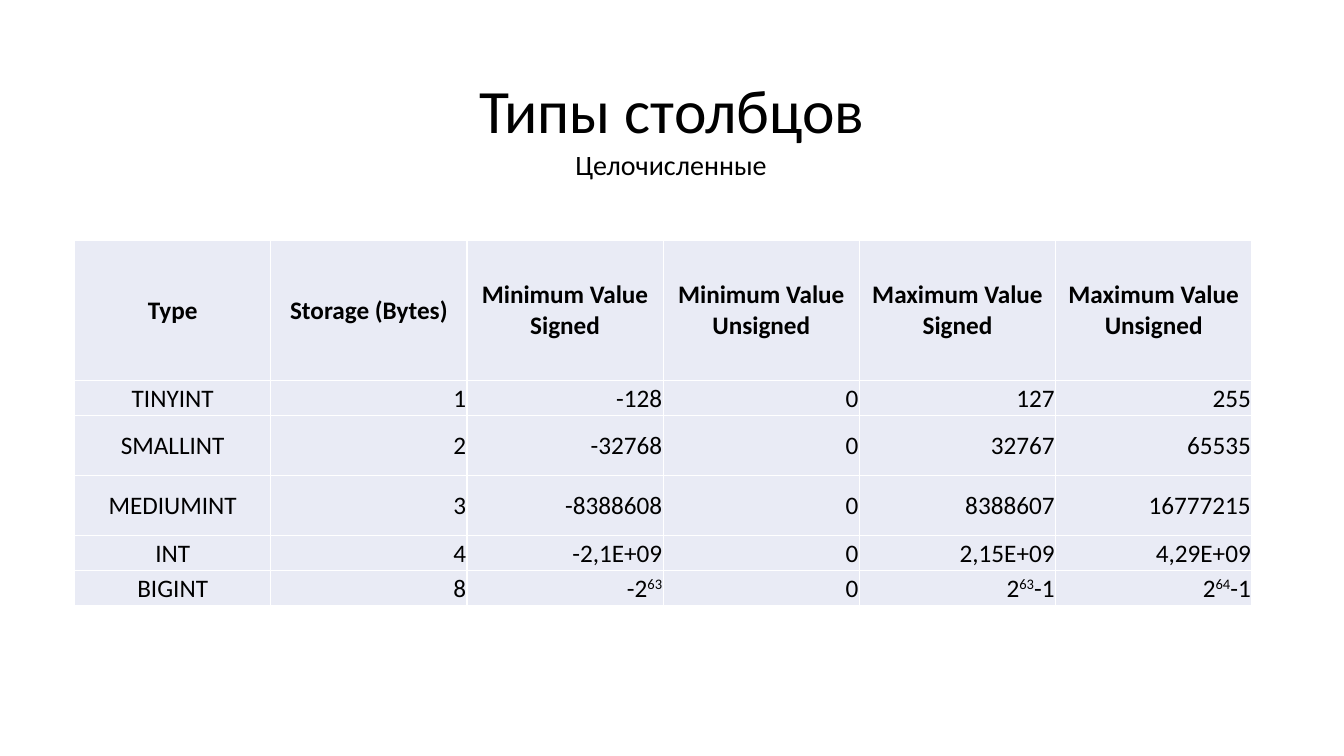
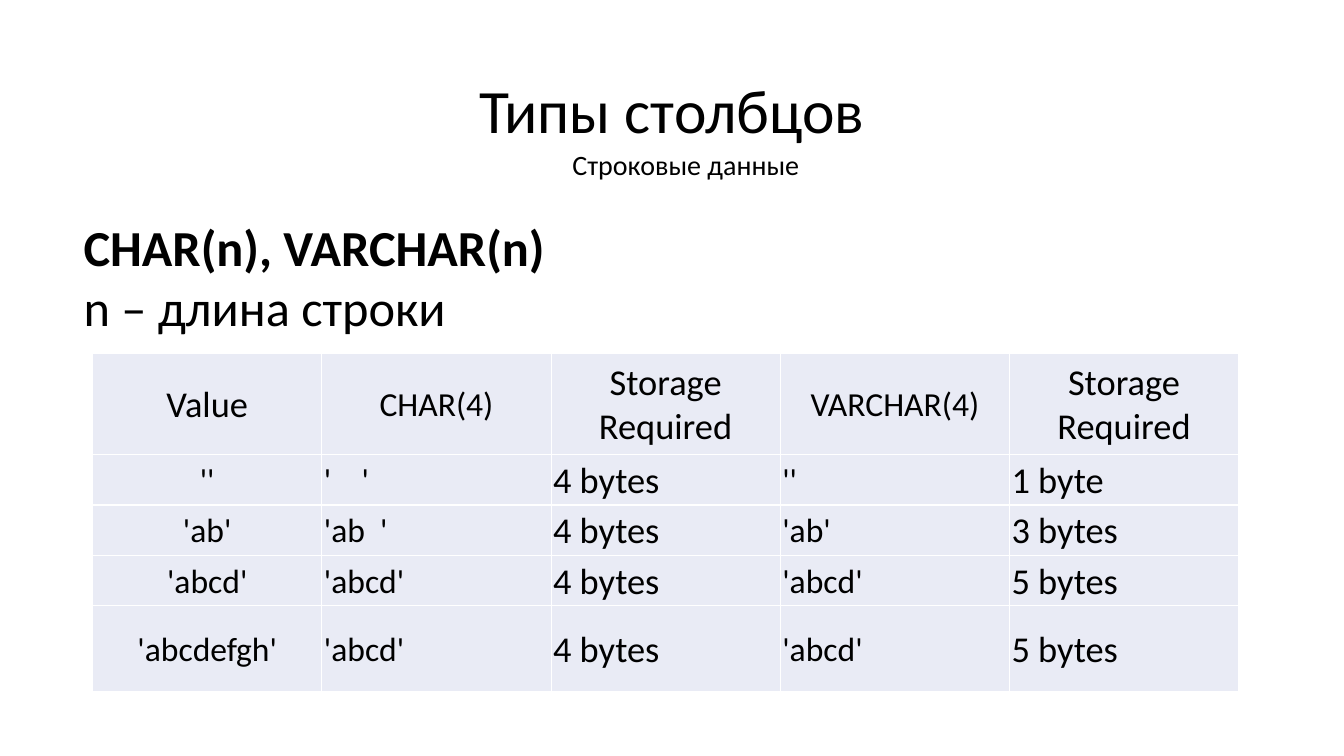
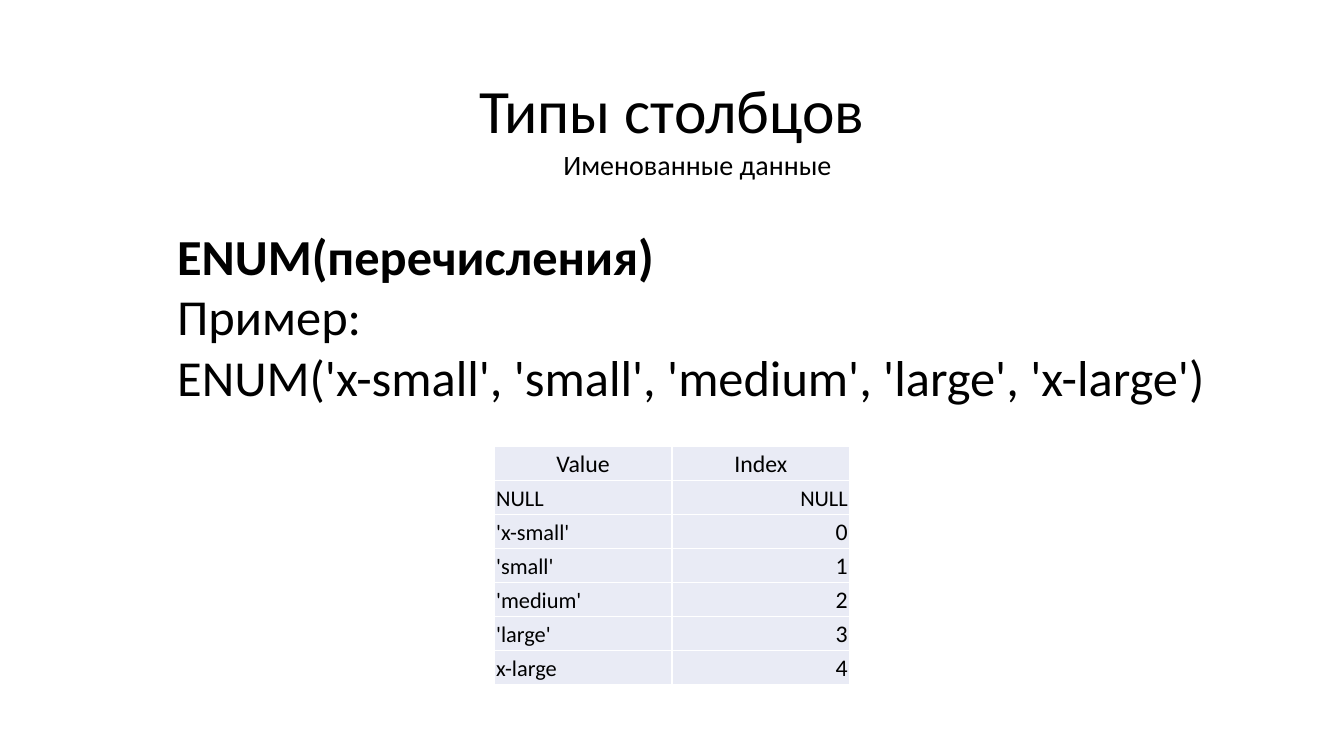
from lxml.etree import SubElement
from pptx import Presentation
from pptx.dml.color import RGBColor
from pptx.enum.text import MSO_ANCHOR as Anchor, MSO_AUTO_SIZE as AutoSize, PP_ALIGN as Align
from pptx.oxml.ns import qn
from pptx.util import Pt

COLORS = {"text": "000000", "cell": "E9EBF5", "border": "FFFFFF"}
FONT = "Calibri"
LEFT, CENTER, RIGHT = Align.LEFT, Align.CENTER, Align.RIGHT


def assign(target, values):
    for name, value in values.items():
        setattr(target, name, value)


class Deck:
    def __init__(self, width, height):
        self.presentation = Presentation()
        assign(self.presentation, {"slide_width": Pt(width), "slide_height": Pt(height)})
        self.slide = None

    def add_slide(self, subtitle, subtitle_left, subtitle_width):
        layout = self.presentation.slide_layouts[6]
        self.slide = self.presentation.slides.add_slide(layout)
        title = self.text((66, 28.8, 828, 104.4), ["Типы столбцов"], 44,
                          word_wrap=True, vertical_anchor=Anchor.MIDDLE)
        assign(title.paragraphs[0], {"alignment": CENTER, "line_spacing": 0.9})
        self.label((subtitle_left, 101.5, subtitle_width, 31.5), [subtitle], 20)

    def add_runs(self, paragraph, text, size, bold=False):
        for index, part in enumerate(text.split("^")):
            run = paragraph.add_run()
            run.text = part
            assign(run.font, {"name": FONT, "size": Pt(size), "bold": bold})
            run.font.color.rgb = RGBColor.from_string(COLORS["text"])
            if index % 2:
                run._r.get_or_add_rPr().set("baseline", "30000")

    def text(self, box, lines, size, bold_first=False, **frame_format):
        frame = self.slide.shapes.add_textbox(*map(Pt, box)).text_frame
        assign(frame, frame_format)
        for index, line in enumerate(lines):
            paragraph = frame.add_paragraph() if index else frame.paragraphs[0]
            self.add_runs(paragraph, line, size, bold_first and index == 0)
        return frame

    def label(self, box, lines, size, bold_first=False):
        self.text(box, lines, size, bold_first,
                  word_wrap=False, auto_size=AutoSize.SHAPE_TO_FIT_TEXT)

    def borders(self, cell):
        properties = cell._tc.get_or_add_tcPr()
        for side in ("lnL", "lnR", "lnT", "lnB"):
            line = SubElement(properties, qn(f"a:{side}"), w=str(Pt(1)))
            fill = SubElement(line, qn("a:solidFill"))
            SubElement(fill, qn("a:srgbClr"), val=COLORS["border"])

    def table(self, corner, column_width, heights, rows, sizes, aligns, inset, bold_header=False):
        columns = len(rows[0])
        extent = (column_width * columns, sum(heights))
        table = self.slide.shapes.add_table(
            len(rows), columns, *map(Pt, corner + extent)).table
        assign(table, {"first_row": False, "horz_banding": False})
        for column in table.columns:
            column.width = Pt(column_width)
        for r, values in enumerate(rows):
            table.rows[r].height = Pt(heights[r])
            for c, value in enumerate(values):
                cell = table.cell(r, c)
                assign(cell, {"margin_left": Pt(inset), "margin_right": Pt(inset),
                              "margin_top": Pt(inset), "margin_bottom": 0,
                              "vertical_anchor": Anchor.MIDDLE})
                self.borders(cell)
                cell.fill.solid()
                cell.fill.fore_color.rgb = RGBColor.from_string(COLORS["cell"])
                paragraph = cell.text_frame.paragraphs[0]
                paragraph.alignment = aligns[c] if r else CENTER
                self.add_runs(paragraph, value, sizes[r][c], bold_header and r == 0)


deck = Deck(960, 540)

deck.add_slide("Целочисленные", 403.9, 152.6)
integer_types = [
    ["Type", "Storage (Bytes)", "Minimum Value Signed", "Minimum Value Unsigned",
     "Maximum Value Signed", "Maximum Value Unsigned"],
    ["TINYINT", "1", "-128", "0", "127", "255"],
    ["SMALLINT", "2", "-32768", "0", "32767", "65535"],
    ["MEDIUMINT", "3", "-8388608", "0", "8388607", "16777215"],
    ["INT", "4", "-2,1E+09", "0", "2,15E+09", "4,29E+09"],
    ["BIGINT", "8", "-2^63", "0", "2^63^-1", "2^64^-1"],
]
deck.table((53.3, 171.4), 140.16, [100.2, 25.2, 42.8, 42.8, 25.2, 25.2], integer_types,
           sizes=[[18] * 6] * 6, aligns=[CENTER] + [RIGHT] * 5, inset=0.72, bold_header=True)

deck.add_slide("Строковые данные", 401.8, 177.8)
deck.label((52.6, 150.5, 347.8, 172), ["CHAR(n), VARCHAR(n)", "n – длина строки"], 36,
           bold_first=True)
string_storage = [
    ["Value", "CHAR(4)", "Storage Required", "VARCHAR(4)", "Storage Required"],
    ["''", "'\u00a0\u00a0\u00a0\u00a0'", "4 bytes", "''", "1 byte"],
    ["'ab'", "'ab\u00a0\u00a0'", "4 bytes", "'ab'", "3 bytes"],
    ["'abcd'", "'abcd'", "4 bytes", "'abcd'", "5 bytes"],
    ["'abcdefgh'", "'abcd'", "4 bytes", "'abcd'", "5 bytes"],
]
deck.table((66.2, 252.7), 163.73, [72, 36, 36, 36, 61.2], string_storage,
           sizes=[[26, 24, 26, 24, 26]] + [[24, 24, 26, 24, 26]] * 4,
           aligns=[CENTER] + [LEFT] * 4, inset=1.44)

deck.add_slide("Именованные данные", 395.3, 208.1)
deck.label((119.5, 157, 758.9, 138.2),
           ["ENUM(перечисления)", "Пример:",
            "ENUM('x-small', 'small', 'medium', 'large', 'x-large')"], 36, bold_first=True)
enum_indexes = [
    ["Value", "Index"],
    ["NULL", "NULL"],
    ["'x-small'", "0"],
    ["'small'", "1"],
    ["'medium'", "2"],
    ["'large'", "3"],
    ["x-large", "4"],
]
deck.table((353, 319), 127, [24.27] * 7, enum_indexes,
           sizes=[[17, 17], [16, 16]] + [[16, 17]] * 5, aligns=[LEFT, RIGHT], inset=1.44)

deck.presentation.save("out.pptx")
